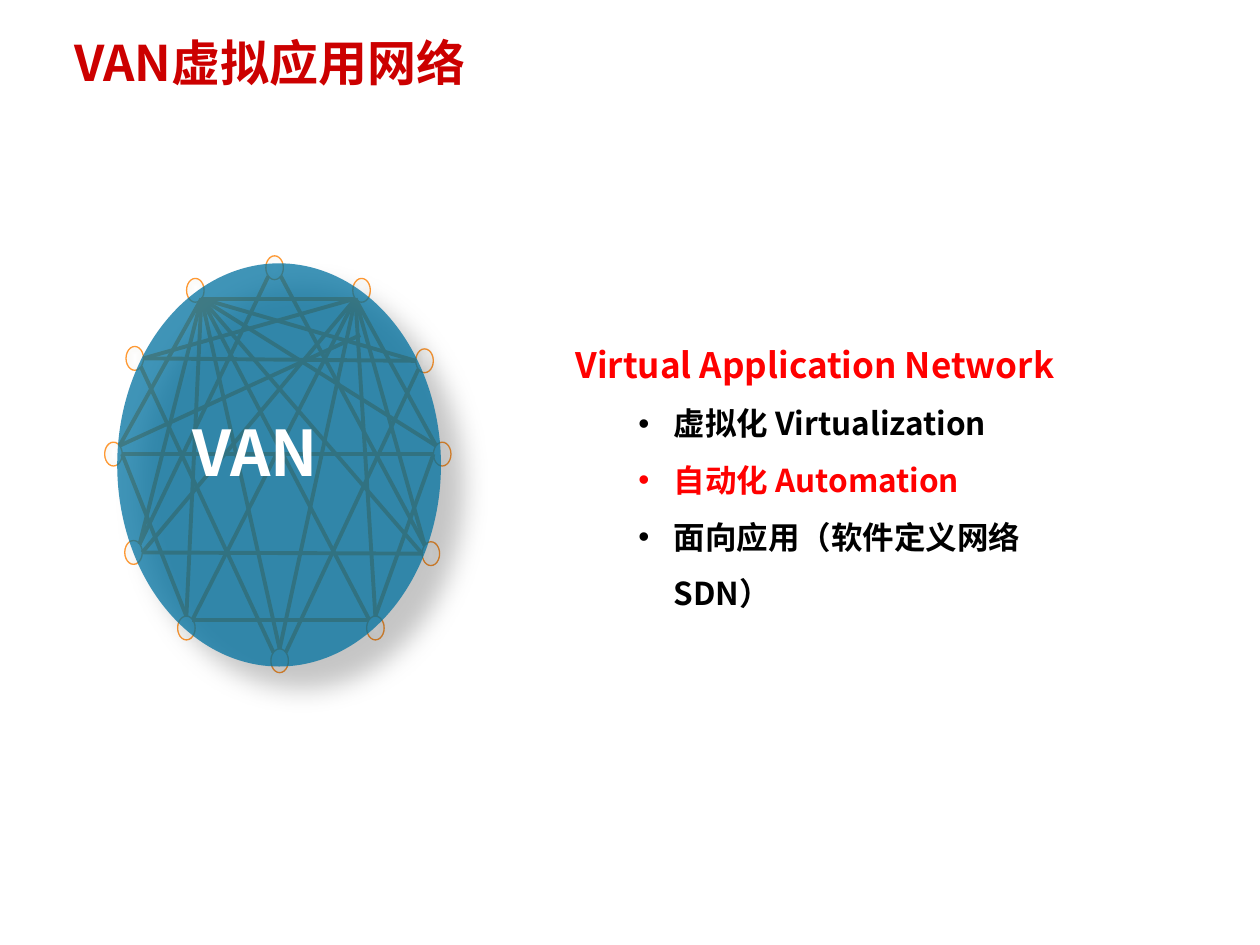
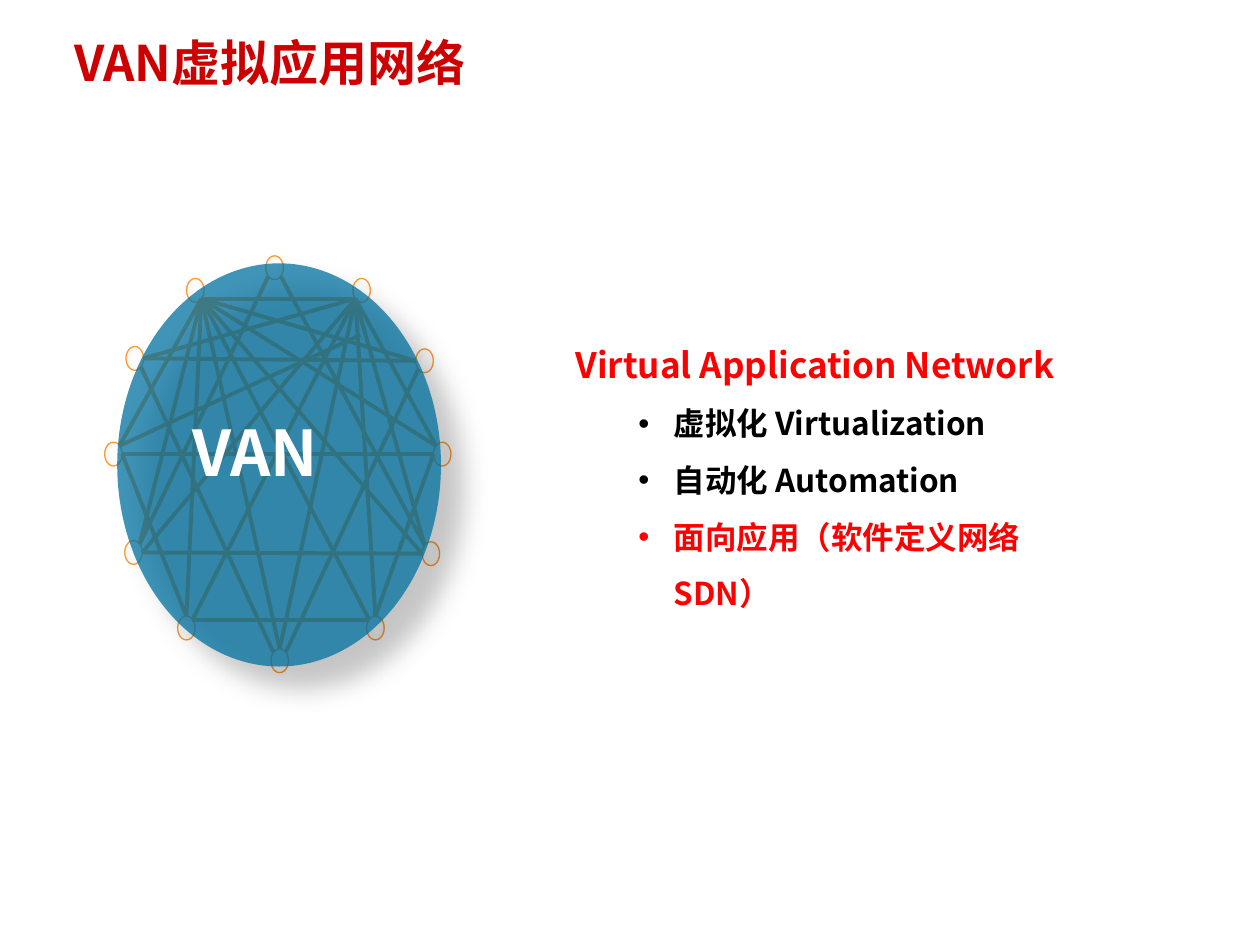
"""Build two slides about the virtual application network."""
from dataclasses import dataclass

from lxml import etree
from pptx import Presentation
from pptx import util as u
from pptx.dml import color as dml
from pptx.enum import shapes as kinds, text as modes
from pptx.oxml import ns

COLORS = {"title": "CC0000", "accent": "FF0000", "body": "000000", "white": "FFFFFF",
          "mesh": "FF9933", "cloud": "0071A0", "node_edge": "EEECE1"}
FONT = "Noto Sans CJK SC"
TITLE = "VAN虚拟应用网络"
HEADING = "Virtual Application Network"
FEATURES = ("虚拟化 Virtualization", "自动化 Automation", "面向应用（软件定义网络SDN）")
HIGHLIGHTED = (1, 2)
NODE_WIDTH, NODE_HEIGHT = 10, 13.6


@dataclass(frozen=True)
class Box:
    left: float
    top: float
    width: float
    height: float

    def lengths(self) -> list:
        return [u.Pt(value) for value in (self.left, self.top, self.width, self.height)]


@dataclass(frozen=True)
class Line:
    content: str
    size: float
    color: str
    spacing: float = 1.0
    bullet: bool = False


NODES = {
    "bottom": (154.8, 370.8), "left_high": (72, 198), "right_high": (237.6, 199.4),
    "top": (151.9, 146.2), "left_low": (71.3, 308.9), "right_low": (241.2, 309.6),
    "bottom_right": (209.5, 352.1), "bottom_left": (101.5, 352.1),
    "left_mid": (59.8, 252.7), "right_mid": (247.7, 252.7),
    "upper_right": (201.6, 159.1), "upper_left": (106.6, 159.1),
}
SITES = {"n": (0.5, 0), "w": (0, 0.5), "e": (1, 0.5), "nw": (0.15, 0.15),
         "ne": (0.85, 0.15), "sw": (0.15, 0.85), "se": (0.85, 0.85)}
ANCHORS = {f"{node}.{site}": (left + across * NODE_WIDTH, top + down * NODE_HEIGHT)
           for node, (left, top) in NODES.items()
           for site, (across, down) in SITES.items()}
ANCHORS["inner"] = (205.9, 191.5)
LINKS_BEHIND = {
    "bottom.nw": ["left_high.se"],
    "bottom.ne": ["right_high.sw"],
    "left_high.e": ["right_high.w"],
    "top.sw": ["left_low.ne"],
    "top.se": ["right_low.nw"],
    "left_low.e": ["right_low.w"],
}
LINKS_FRONT = {
    "upper_left.se": ["upper_right.sw", "right_high.w", "right_mid.nw", "right_low.w",
                      "bottom_right.nw", "bottom.n", "bottom_left.n", "left_low.ne",
                      "left_mid.ne"],
    "upper_right.sw": ["right_mid.nw", "right_low.nw", "bottom_right.n", "bottom.n",
                       "bottom_left.ne", "left_low.e", "left_high.e"],
    "inner": ["left_mid.ne"],
    "left_mid.e": ["right_mid.w", "bottom_left.n"],
    "right_mid.w": ["bottom_right.n"],
    "bottom_left.ne": ["bottom_right.nw"],
}


def rgb(name: str) -> dml.RGBColor:
    return dml.RGBColor.from_string(COLORS[name])


def add_child(parent, tag: str, **attributes):
    return etree.SubElement(parent, ns.qn(tag), attributes)


def set_opacity(color_element, percent: int) -> None:
    add_child(color_element, "a:alpha", val=str(percent * 1000))


def add_solid_shape(parent, kind, box: Box, color: str, opacity: int):
    shape = parent.shapes.add_shape(kind, *box.lengths())
    shape.shadow.inherit = False
    shape.fill.solid()
    shape.fill.fore_color.rgb = rgb(color)
    shape.line.fill.background()
    set_opacity(shape._element.spPr.find(".//" + ns.qn("a:srgbClr")), opacity)
    return shape


def add_text(parent, box: Box, lines: list[Line]) -> None:
    frame = parent.shapes.add_textbox(*box.lengths()).text_frame
    frame.word_wrap = True
    frame.auto_size = modes.MSO_AUTO_SIZE.SHAPE_TO_FIT_TEXT
    for index, line in enumerate(lines):
        paragraph = frame.add_paragraph() if index else frame.paragraphs[0]
        paragraph.text = line.content
        paragraph.line_spacing = line.spacing
        font = paragraph.font
        font.size, font.bold, font.name = u.Pt(line.size), True, FONT
        font.color.rgb = rgb(line.color)
        properties = paragraph._p.pPr
        defaults = properties.find(ns.qn("a:defRPr"))
        add_child(defaults, "a:ea", typeface=FONT)
        if line.bullet:
            paragraph.level = 1
            properties.set("marL", str(u.Pt(56.2)))
            properties.set("indent", str(u.Pt(-20.2)))
            defaults.addprevious(add_child(properties, "a:buFont", typeface="Arial"))
            defaults.addprevious(add_child(properties, "a:buChar", char="•"))


def add_links(group, links: dict[str, list[str]]) -> None:
    for start, ends in links.items():
        for end in ends:
            points = [u.Pt(value) for value in ANCHORS[start] + ANCHORS[end]]
            connector = group.shapes.add_connector(kinds.MSO_CONNECTOR.STRAIGHT, *points)
            connector.line.color.rgb = rgb("mesh")
            connector.line.width = u.Pt(2.25)
            add_child(connector._element.spPr, "a:effectLst")


def add_node(group, left: float, top: float) -> None:
    box = Box(left, top, NODE_WIDTH, NODE_HEIGHT)
    node = group.shapes.add_shape(kinds.MSO_SHAPE.OVAL, *box.lengths())
    node.shadow.inherit = False
    node.line.color.rgb = rgb("mesh")
    node.line.width = u.Pt(0.75)
    node.fill.gradient()
    gradient = node._element.spPr.find(ns.qn("a:gradFill"))
    for stop, color in zip(node.fill.gradient_stops, ("white", "node_edge")):
        stop.color.rgb = rgb(color)
    for element, opacity in zip(gradient.iter(ns.qn("a:srgbClr")), (47, 22)):
        set_opacity(element, opacity)
    gradient.remove(gradient.find(ns.qn("a:lin")))
    shade = add_child(gradient, "a:path", path="shape")
    add_child(shade, "a:fillToRect", l="50000", t="50000", r="50000", b="50000")


def add_network(slide) -> None:
    group = slide.shapes.add_group_shape()
    add_links(group, LINKS_BEHIND)
    for left, top in NODES.values():
        add_node(group, left, top)
    add_links(group, LINKS_FRONT)
    cloud = add_solid_shape(group, kinds.MSO_SHAPE.OVAL, Box(67, 150.5, 185, 230.4), "cloud", 75)
    effects = cloud._element.spPr.find(ns.qn("a:effectLst"))
    shadow = add_child(effects, "a:outerShdw", blurRad=str(u.Pt(15)), dist=str(u.Pt(18)),
                       dir="2700000", algn="tl", rotWithShape="0")
    set_opacity(add_child(shadow, "a:srgbClr", val=COLORS["body"]), 30)
    add_text(group, Box(103, 232.6, 113, 51), [Line("VAN", 36, "white")])


def add_network_slide(presentation, highlighted: int) -> None:
    slide = presentation.slides.add_slide(presentation.slide_layouts[6])
    add_solid_shape(slide, kinds.MSO_SHAPE.ROUNDED_RECTANGLE,
                    Box(301, 177, 354, 191.5), "white", 29)
    features = [Line(feature, 18, "accent" if index == highlighted else "body", 1.5, True)
                for index, feature in enumerate(FEATURES)]
    add_text(slide, Box(321.8, 180.7, 316, 142),
             [Line(HEADING, 20, "accent", 1.5), *features])
    add_network(slide)
    add_text(slide, Box(35.3, 15.1, 471.6, 41), [Line(TITLE, 28, "title")])


def main() -> None:
    presentation = Presentation()
    presentation.slide_width, presentation.slide_height = u.Pt(720), u.Pt(540)
    for highlighted in HIGHLIGHTED:
        add_network_slide(presentation, highlighted)
    presentation.save("out.pptx")


if __name__ == "__main__":
    main()
